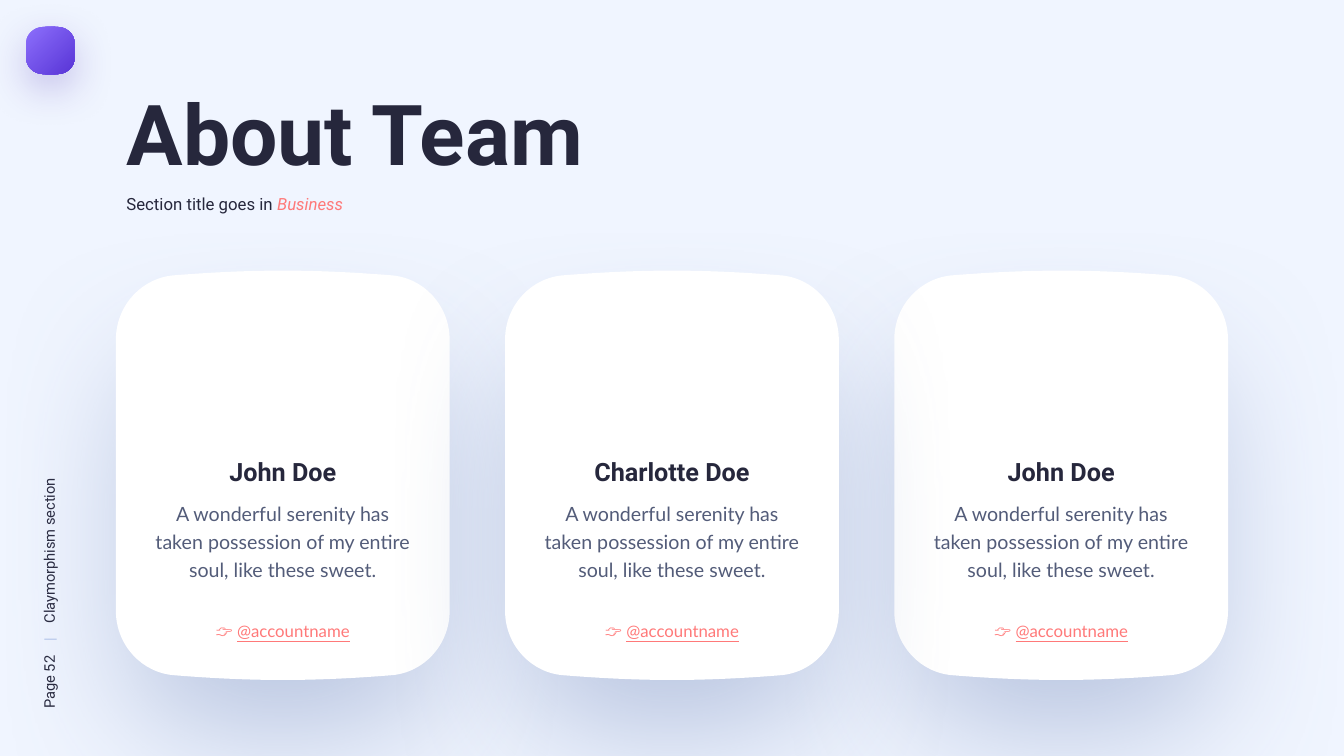
from lxml import etree
from pptx import Presentation
from pptx.dml.color import RGBColor
from pptx.enum import text
from pptx.oxml import ns
from pptx.util import Pt

COLORS = {"background": "F0F5FF", "ink": "26273C", "body": "535C79", "accent": "FF7979",
          "divider": "B3C5EA", "card": "FFFFFF", "card_shadow": "93A4CB",
          "badge_light": "8A6CFA", "badge_dark": "5B38D8", "badge_shadow": "3F21AB"}

TITLE = "About Team"
SUBTITLE = ("Section title goes in ", "Business")
PAGE_LABEL = ("Page 52", "\t|", "\tClaymorphism section")
PAGE_TABS = (48, 61)
BIO = "A wonderful serenity has taken possession of my entire soul, like these sweet."
ACCOUNT = ("👉 ", "@accountname")
# Column and name, from back to front: the middle card overlaps its neighbours
TEAM = [(0, "John Doe"), (2, "John Doe"), (1, "Charlotte Doe")]

CARD_CENTER_Y = 339.5
FIRST_CARD_X, CARD_PITCH = 202, 278
# Upper left corner curve and first handle of the top edge, measured from the centre
CARD_CURVE = [(-119.2, -96.9), (-119.2, -121.3), (-100.5, -141.5), (-76.7, -142.9),
              (-21.3, -147.3)]
BADGE_CURVE = [(-17.2, -5.8), (-17.2, -11.5), (-12.2, -16.1), (-6.6, -16.7), (-2.2, -17.2)]
# First point of each curve in the outline; the other points are straight sides
CURVE_STARTS = (0, 3, 6, 10, 13, 16)


def rgb(name):
    return RGBColor.from_string(COLORS[name])


def add_soft_square(slide, center_x, center_y, curve):
    """Draw a square with rounded corners and bulging top and bottom."""
    upper = curve + [(-x, y) for x, y in reversed(curve)]
    outline = [(Pt(center_x + x), Pt(center_y + y))
               for x, y in upper + [(-x, -y) for x, y in upper]]
    builder = slide.shapes.build_freeform(*outline[0])
    builder.add_line_segments(outline[1:], close=True)
    sp = builder.convert_to_shape()
    lines = list(sp._element.iter(ns.qn("a:lnTo")))
    for start in CURVE_STARTS:
        first, *others = lines[start:start + 3]
        cubic = etree.Element(ns.qn("a:cubicBezTo"))
        first.addprevious(cubic)
        for line in (first, *others):
            cubic.append(line[0])
            line.getparent().remove(line)
    sp.line.fill.background()
    return sp


def set_shadow(sp, color, alpha, blur, distance, scale):
    """Give the shape a soft shadow that falls straight down."""
    sp.shadow.inherit = False
    effects = sp._element.spPr.find(ns.qn("a:effectLst"))
    shadow = etree.SubElement(effects, ns.qn("a:outerShdw"), blurRad=str(Pt(blur)),
                              dist=str(Pt(distance)), dir="5400000", sx=str(scale * 1000),
                              sy=str(scale * 1000), algn="ctr", rotWithShape="0")
    clr = etree.SubElement(shadow, ns.qn("a:srgbClr"), val=COLORS[color])
    etree.SubElement(clr, ns.qn("a:alpha"), val=str(alpha * 1000))


def add_run(p, words, font, size, color, bold=False, italic=False, underline=False):
    r = p.add_run()
    r.text = words
    r.font.name, r.font.size = font, Pt(size)
    r.font.color.rgb = rgb(color)
    r.font.bold, r.font.italic, r.font.underline = bold, italic, underline


def add_text(slide, left, top, width, height, align=text.PP_ALIGN.LEFT, spacing=None):
    """Add a text box and return it with its first paragraph."""
    sp = slide.shapes.add_textbox(Pt(left), Pt(top), Pt(width), Pt(height))
    tf = sp.text_frame
    tf.word_wrap = True
    tf.auto_size = text.MSO_AUTO_SIZE.SHAPE_TO_FIT_TEXT
    p = tf.paragraphs[0]
    p.alignment, p.line_spacing = align, spacing
    return sp, p


def add_title(slide):
    sp = slide.shapes.title
    sp.left, sp.top, sp.width, sp.height = Pt(83.2), Pt(54.7), Pt(617.8), Pt(80)
    tf = sp.text_frame
    tf.vertical_anchor = text.MSO_ANCHOR.TOP
    tf.auto_size = text.MSO_AUTO_SIZE.NONE
    p = tf.paragraphs[0]
    p.alignment = text.PP_ALIGN.LEFT
    add_run(p, TITLE, "Roboto", 60, "ink", bold=True)

    _, p = add_text(slide, 83.2, 134.6, 256.3, 21.6)
    add_run(p, SUBTITLE[0], "Roboto", 12, "ink")
    add_run(p, SUBTITLE[1], "Roboto", 12, "accent", italic=True)


def add_badge(slide):
    sp = add_soft_square(slide, 36, 36.1, BADGE_CURVE)
    sp.fill.gradient()
    sp.fill.gradient_angle = 315
    for stop, color, position in zip(sp.fill.gradient_stops,
                                     ("badge_light", "badge_dark"), (0.05, 0.95)):
        stop.color.rgb, stop.position = rgb(color), position
    set_shadow(sp, "badge_shadow", 25, 30, 10, 100)


def add_page_label(slide):
    sp, p = add_text(slide, -79.9, 387.4, 231.1, 20.9)
    sp.rotation = 270
    tabs = etree.SubElement(p._p.get_or_add_pPr(), ns.qn("a:tabLst"))
    for position in PAGE_TABS:
        etree.SubElement(tabs, ns.qn("a:tab"), pos=str(Pt(position)), algn="l")
    for words, color in zip(PAGE_LABEL, ("ink", "divider", "ink")):
        add_run(p, words, "Roboto", 10.5, color)


def add_member(slide, column, name):
    center_x = FIRST_CARD_X + column * CARD_PITCH
    card = add_soft_square(slide, center_x, CARD_CENTER_Y, CARD_CURVE)
    card.fill.solid()
    card.fill.fore_color.rgb = rgb("card")
    set_shadow(card, "card_shadow", 60, 100, 49, 90)

    def centered(top, width, height, spacing=None):
        return add_text(slide, center_x - width / 2, top, width, height,
                        text.PP_ALIGN.CENTER, spacing)[1]

    add_run(centered(351.4, 200.9, 66.2, 1.2), BIO, "Lato", 14, "body")
    add_run(centered(322.6, 200.9, 28.8), name, "Roboto", 18, "ink", bold=True)
    p = centered(437, 174.2, 23, 1.2)
    add_run(p, ACCOUNT[0], "Lato", 12, "accent")
    add_run(p, ACCOUNT[1], "Lato", 12, "accent", underline=True)


def main():
    prs = Presentation()
    prs.slide_width, prs.slide_height = Pt(960), Pt(540)
    slide = prs.slides.add_slide(prs.slide_layouts[5])
    slide.background.fill.solid()
    slide.background.fill.fore_color.rgb = rgb("background")
    add_page_label(slide)
    add_badge(slide)
    add_title(slide)
    for column, name in TEAM:
        add_member(slide, column, name)
    prs.save("out.pptx")


if __name__ == "__main__":
    main()
